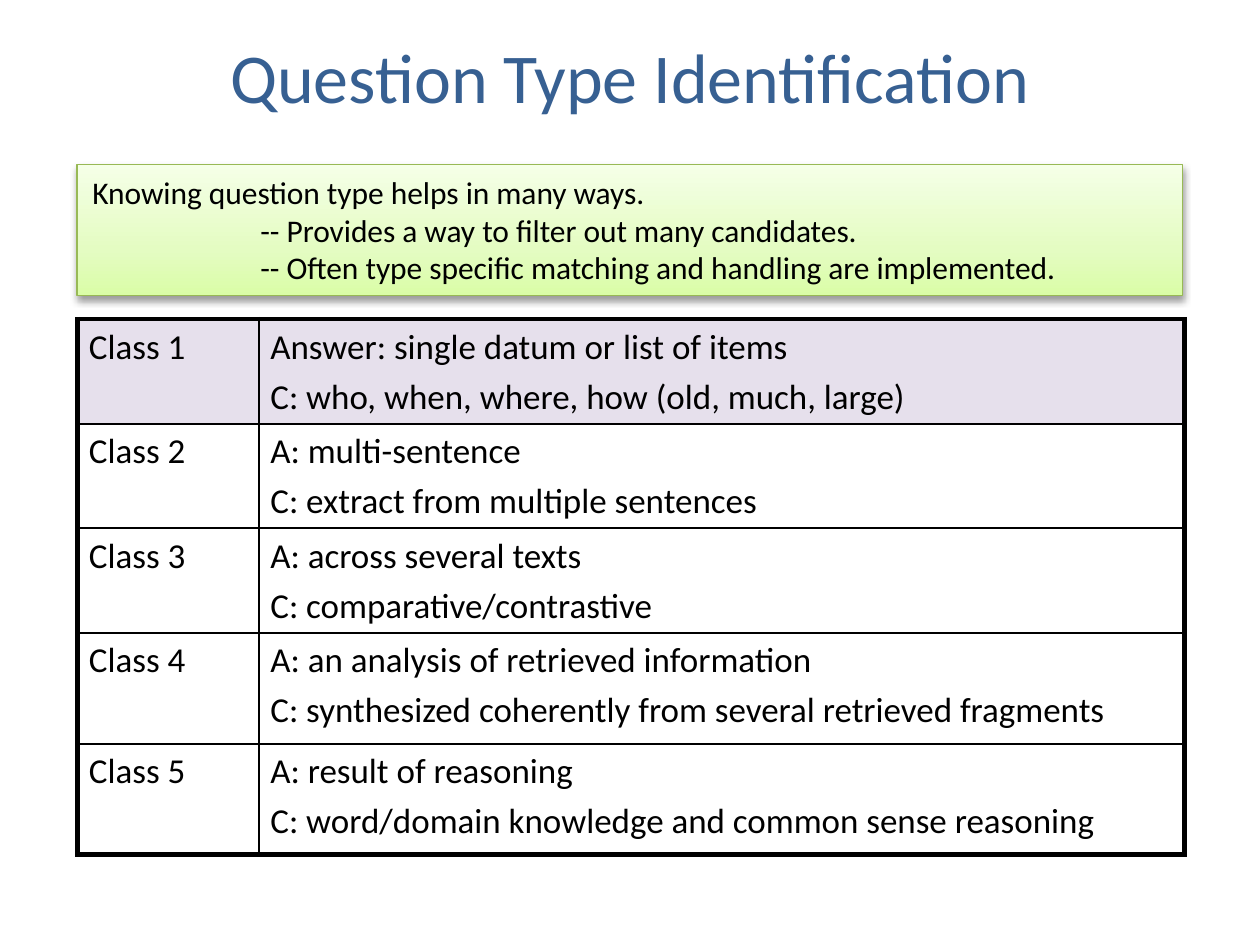
"""Build the slide on question type identification."""
import pptx
import pptx.dml.color
import pptx.enum.shapes
import pptx.enum.text
import pptx.oxml
import pptx.oxml.ns
import pptx.util

Inches, Pt = pptx.util.Inches, pptx.util.Pt
NAMESPACE = pptx.oxml.ns.nsdecls("a")


def color(value):
    return pptx.dml.color.RGBColor.from_string(value)


def style(para, size, value):
    for span in para.runs:
        span.font.name = "Calibri"
        span.font.size = Pt(size)
        span.font.color.rgb = color(value)


deck = pptx.Presentation()
deck.slide_width, deck.slide_height = Inches(7.5), Inches(7.5 * 3 / 4)
page = deck.slides.add_slide(deck.slide_layouts[5])

title = page.shapes.title
title.left, title.top, title.width, title.height = 0, 0, Inches(7.5), Inches(0.9)
title.text_frame.text = "Question Type Identification"
title.text_frame.vertical_anchor = pptx.enum.text.MSO_ANCHOR.MIDDLE
title.text_frame.paragraphs[0].alignment = pptx.enum.text.PP_ALIGN.CENTER
style(title.text_frame.paragraphs[0], 30, "376092")

benefits = page.shapes.add_shape(
    pptx.enum.shapes.MSO_SHAPE.RECTANGLE, Inches(0.46), Inches(0.98), Inches(6.58), Inches(0.78))
benefits.line.color.rgb = color("98B955")
benefits.line.width = Pt(0.75)
benefits.fill.background()
properties = benefits._element.spPr
stops = "".join(
    f'<a:gs pos="{position * 1000}"><a:srgbClr val="{value}"/></a:gs>'
    for position, value in [(0, "DAFDA7"), (35, "E4FCC2"), (100, "F5FFE7")])
gradient = pptx.oxml.parse_xml(
    f'<a:gradFill {NAMESPACE} rotWithShape="1"><a:gsLst>{stops}</a:gsLst>'
    '<a:lin ang="16200000" scaled="0"/></a:gradFill>')
properties.replace(properties.find(pptx.oxml.ns.qn("a:noFill")), gradient)
properties.append(pptx.oxml.parse_xml(
    f'<a:effectLst {NAMESPACE}><a:outerShdw blurRad="{Pt(3.1)}" dist="{Pt(1.6)}" '
    'dir="5400000" rotWithShape="0"><a:srgbClr val="000000"><a:alpha val="38000"/>'
    '</a:srgbClr></a:outerShdw></a:effectLst>'))

frame = benefits.text_frame
frame.word_wrap = True
frame.vertical_anchor = pptx.enum.text.MSO_ANCHOR.TOP
frame.margin_left = frame.margin_right = Inches(0.09)
frame.margin_top = frame.margin_bottom = Inches(0.05)
frame.text = "\n".join([
    "Knowing question type helps in many ways.",
    "\t-- Provides a way to filter out many candidates.",
    "\t-- Often type specific matching and handling are implemented.",
])
for para in frame.paragraphs:
    para.alignment = pptx.enum.text.PP_ALIGN.LEFT
    para._p.get_or_add_pPr().append(pptx.oxml.parse_xml(
        f'<a:tabLst {NAMESPACE}><a:tab pos="{Inches(1)}" algn="l"/></a:tabLst>'))
    style(para, 13.5, "000000")

answers = [
    "Answer: single datum or list of items\nC: who, when, where, how (old, much, large)",
    "A: multi-sentence\nC: extract from multiple sentences",
    "A: across several texts\nC: comparative/contrastive",
    "A: an analysis of retrieved information\n"
    "C: synthesized coherently from several retrieved fragments",
    "A: result of reasoning\nC: word/domain knowledge and common sense reasoning",
]
heights = [0.62, 0.62, 0.62, 0.66, 0.66]
table = page.shapes.add_table(
    len(answers), 2, Inches(0.46), Inches(1.9), Inches(6.59), Inches(sum(heights))).table
table.first_row = table.horz_banding = False
table.columns[0].width, table.columns[1].width = Inches(1.08), Inches(5.51)

for row, (answer, height) in enumerate(zip(answers, heights)):
    table.rows[row].height = Inches(height)
    for column, text in enumerate([f"Class {row + 1}", answer]):
        cell = table.cell(row, column)
        cell.text_frame.text = text
        cell.margin_left = cell.margin_right = Inches(0.07)
        cell.margin_top, cell.margin_bottom = Inches(0.04), Inches(0.03)
        for index, para in enumerate(cell.text_frame.paragraphs):
            para.space_before = Pt(3 if index else 0)
            style(para, 15, "000000")
        outer_sides = {"L": column == 0, "R": column == 1,
                       "T": row == 0, "B": row == len(answers) - 1}
        for side, outer in outer_sides.items():
            cell._tc.get_or_add_tcPr().append(pptx.oxml.parse_xml(
                f'<a:ln{side} {NAMESPACE} w="{Pt(2.25 if outer else 1)}"><a:solidFill>'
                f'<a:srgbClr val="000000"/></a:solidFill></a:ln{side}>'))
        if row == 0:
            cell.fill.solid()
            cell.fill.fore_color.rgb = color("E6E0EC")
        else:
            cell.fill.background()

deck.save("out.pptx")
